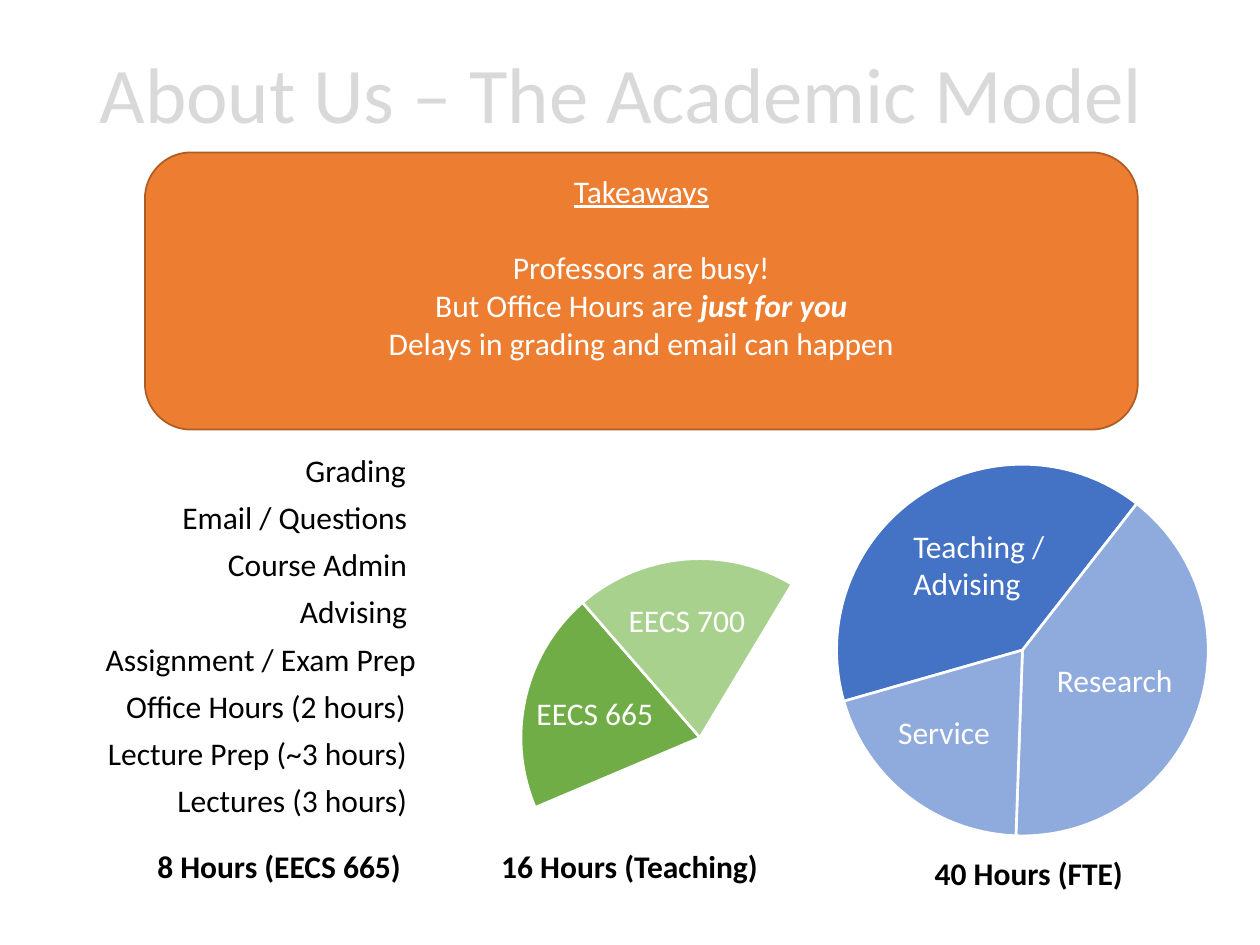
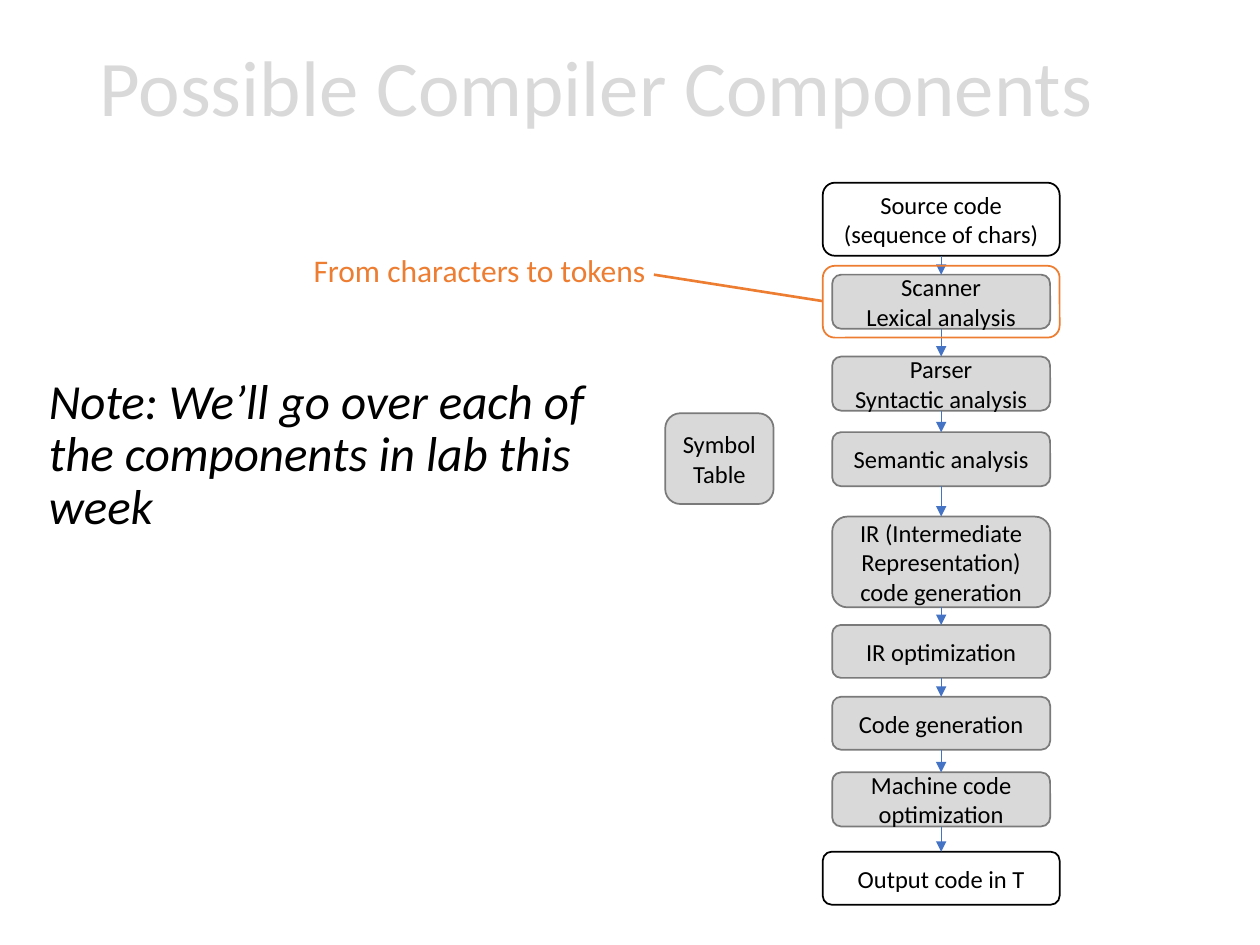
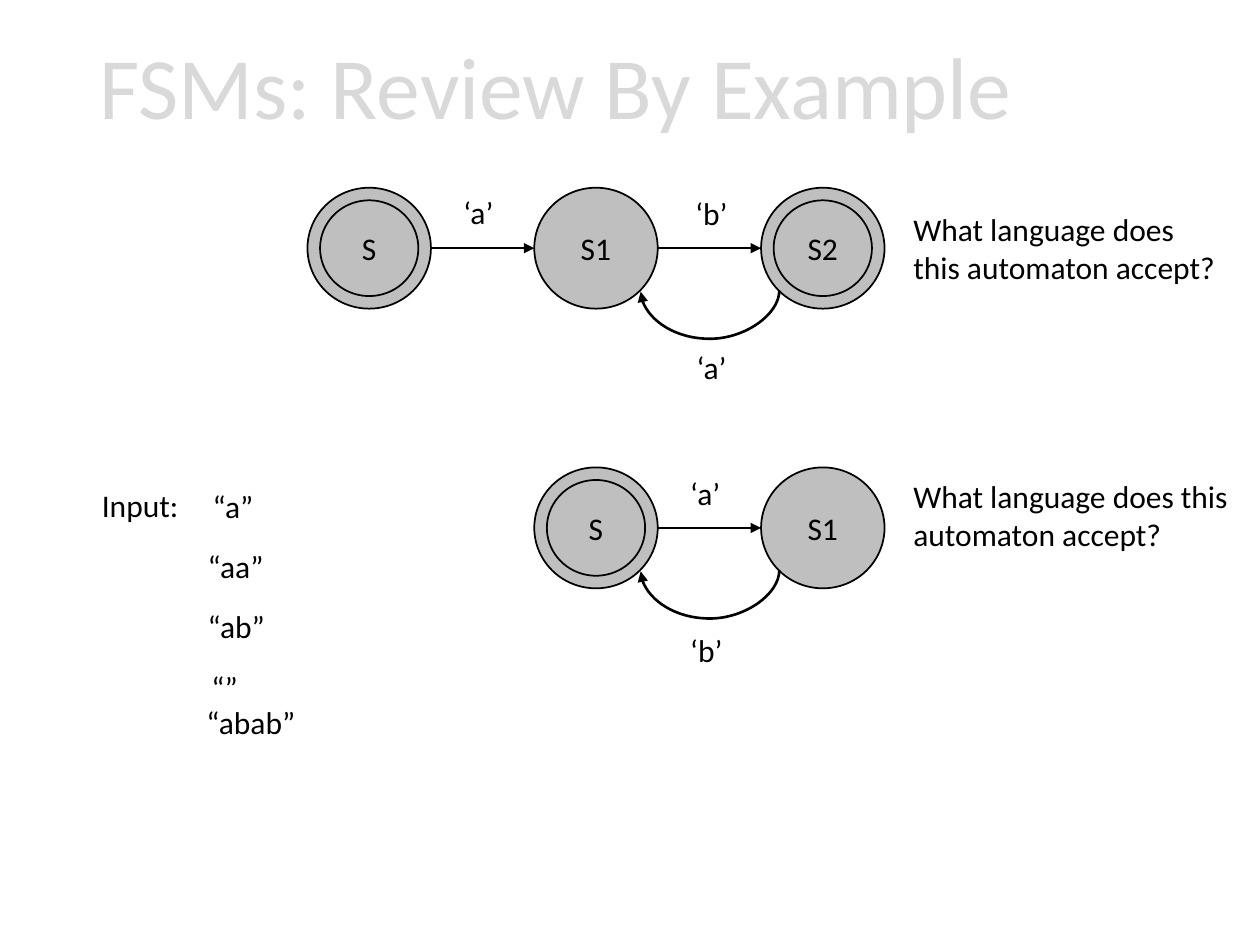
"""Build three compiler course slides: workload, compiler stages and state machines."""
from dataclasses import dataclass
from itertools import pairwise
from typing import NamedTuple

from lxml import etree
from pptx import Presentation, slide as s, util as u
from pptx.chart import data
from pptx.dml import color
from pptx.enum import chart as charts, shapes, text
from pptx.oxml import ns


@dataclass(frozen=True)
class Theme:
    font: str = "Calibri"
    black: color.RGBColor = color.RGBColor(0, 0, 0)
    white: color.RGBColor = color.RGBColor(255, 255, 255)
    title: color.RGBColor = color.RGBColor.from_string("D9D9D9")
    stage: color.RGBColor = color.RGBColor.from_string("D9D9D9")
    stage_line: color.RGBColor = color.RGBColor.from_string("7A7A7A")
    state: color.RGBColor = color.RGBColor.from_string("BFBFBF")
    orange: color.RGBColor = color.RGBColor.from_string("ED7D31")
    orange_line: color.RGBColor = color.RGBColor.from_string("AF5C24")
    blue: color.RGBColor = color.RGBColor.from_string("4472C4")
    light_blue: color.RGBColor = color.RGBColor.from_string("8FAADC")
    green: color.RGBColor = color.RGBColor.from_string("70AD47")
    light_green: color.RGBColor = color.RGBColor.from_string("A9D18E")
    title_size: int = 45
    large_title_size: int = 50
    note_size: int = 28
    body_size: int = 18
    stage_size: int = 14
    chart_size: int = 10


THEME = Theme()


class Box(NamedTuple):
    left: float
    top: float
    width: float
    height: float = 0.4

    def lengths(self) -> list[u.Length]:
        return [u.Inches(value) for value in self]


class Label(NamedTuple):
    words: str
    box: Box


class Slice(NamedTuple):
    value: int
    fill: color.RGBColor | None


class Stage(NamedTuple):
    words: str
    top: float
    height: float
    is_code: bool = False


class State(NamedTuple):
    name: str
    column: int
    accepting: bool = False


class Automaton(NamedTuple):
    top: float
    states: list[State]
    labels: list[Label]


def style(paragraph, size: int, ink: color.RGBColor = THEME.black, bold: bool | None = None,
          align=text.PP_ALIGN.LEFT) -> None:
    paragraph.alignment = align
    paragraph.font.name = THEME.font
    paragraph.font.size = u.Pt(size)
    paragraph.font.color.rgb = ink
    paragraph.font.bold = bold


def add_title_slide(presentation, title: str, top: float = 0, size: int = THEME.title_size) -> s.Slide:
    slide = presentation.slides.add_slide(presentation.slide_layouts[5])
    shape = slide.shapes.title
    shape.left, shape.top, shape.width, shape.height = Box(0.69, top, 8.62, 1.45).lengths()
    frame = shape.text_frame
    frame.text = title
    frame.auto_size = text.MSO_AUTO_SIZE.NONE
    frame.vertical_anchor = text.MSO_ANCHOR.MIDDLE
    paragraph = frame.paragraphs[0]
    paragraph.line_spacing = 0.9
    style(paragraph, size, THEME.title)
    return slide


def add_label(slide: s.Slide, label: Label, ink: color.RGBColor = THEME.black,
              bold: bool | None = None, align=text.PP_ALIGN.LEFT) -> None:
    frame = slide.shapes.add_textbox(*label.box.lengths()).text_frame
    frame.text = label.words
    frame.word_wrap = False
    frame.auto_size = text.MSO_AUTO_SIZE.SHAPE_TO_FIT_TEXT
    for paragraph in frame.paragraphs:
        style(paragraph, THEME.body_size, ink, bold, align)


def add_shape(slide: s.Slide, kind, box: Box, fill: color.RGBColor | None, line: color.RGBColor,
              words: str = "", size: int = THEME.body_size, ink: color.RGBColor = THEME.black):
    shape = slide.shapes.add_shape(kind, *box.lengths())
    shape.shadow.inherit = False
    if fill is None:
        shape.fill.background()
    else:
        shape.fill.solid()
        shape.fill.fore_color.rgb = fill
    shape.line.color.rgb = line
    shape.line.width = u.Pt(1)
    if words:
        shape.text_frame.text = words
        for paragraph in shape.text_frame.paragraphs:
            style(paragraph, size, ink, align=text.PP_ALIGN.CENTER)
    return shape


def add_line(slide: s.Slide, start: tuple[float, float], end: tuple[float, float],
             ink: color.RGBColor, width: float = 1.5, arrow: bool = True,
             kind=shapes.MSO_CONNECTOR.STRAIGHT):
    connector = slide.shapes.add_connector(kind, *(u.Inches(value) for value in start + end))
    connector.line.color.rgb = ink
    connector.line.width = u.Pt(width)
    if arrow:
        etree.SubElement(connector.line._get_or_add_ln(), ns.qn("a:tailEnd"), type="triangle")
    etree.SubElement(connector._element.spPr, ns.qn("a:effectLst"))
    return connector


def add_return_arrow(slide: s.Slide, top: float) -> None:
    connector = add_line(slide, (5.63, top), (5.64, top + 1.1), THEME.black,
                         kind=shapes.MSO_CONNECTOR.CURVE)
    properties = connector._element.spPr
    properties.find(ns.qn("a:xfrm")).set("rot", "5400000")
    geometry = properties.find(ns.qn("a:prstGeom"))
    adjustments = geometry.find(ns.qn("a:avLst"))
    if adjustments is None:
        adjustments = etree.SubElement(geometry, ns.qn("a:avLst"))
    etree.SubElement(adjustments, ns.qn("a:gd"), name="adj1", fmla="val 3900000")


def add_pie(slide: s.Slide, box: Box, diameter: float, start: int, slices: list[Slice]) -> None:
    chart_data = data.CategoryChartData()
    chart_data.categories = [str(number + 1) for number in range(len(slices))]
    chart_data.add_series("Series 1", [part.value for part in slices])
    chart = slide.shapes.add_chart(charts.XL_CHART_TYPE.PIE, *box.lengths(), chart_data).chart
    chart.has_title = False
    chart.has_legend = False
    chart.font.name = THEME.font
    chart.font.size = u.Pt(THEME.chart_size)
    chart.font.color.rgb = THEME.black
    plot = chart.plots[0]
    plot.vary_by_categories = True
    for index, part in enumerate(slices):
        point = plot.series[0].points[index].format
        if part.fill is None:
            point.fill.background()
            point.line.fill.background()
        else:
            point.fill.solid()
            point.fill.fore_color.rgb = part.fill
            point.line.color.rgb = THEME.white
            point.line.width = u.Pt(1.5)
    etree.SubElement(plot._element, ns.qn("c:firstSliceAng"), val=str(start))
    plot_area = plot._element.getparent()
    for layout in plot_area.findall(ns.qn("c:layout")):
        plot_area.remove(layout)
    layout = etree.Element(ns.qn("c:layout"))
    plot_area.insert(0, layout)
    manual = etree.SubElement(layout, ns.qn("c:manualLayout"))
    width, height = diameter / box.width, diameter / box.height
    settings = {"layoutTarget": "inner", "xMode": "edge", "yMode": "edge",
                "x": (1 - width) / 2, "y": (1 - height) / 2, "w": width, "h": height}
    for name, value in settings.items():
        etree.SubElement(manual, ns.qn(f"c:{name}"), val=str(value))
    background = etree.Element(ns.qn("c:spPr"))
    etree.SubElement(background, ns.qn("a:noFill"))
    outline = etree.SubElement(background, ns.qn("a:ln"))
    etree.SubElement(outline, ns.qn("a:noFill"))
    chart._chartSpace.find(ns.qn("c:chart")).addnext(background)


def add_takeaways(slide: s.Slide) -> None:
    words = "Takeaways\nProfessors are busy!\nBut Office Hours are \nDelays in grading and email can happen"
    shape = add_shape(slide, shapes.MSO_SHAPE.ROUNDED_RECTANGLE, Box(1.15, 1.21, 7.88, 2.2),
                      THEME.orange, THEME.orange_line, words, ink=THEME.white)
    shape.text_frame.vertical_anchor = text.MSO_ANCHOR.TOP
    heading, busy, office_hours, _ = shape.text_frame.paragraphs
    heading.font.underline = True
    busy.space_before = u.Pt(22)
    emphasis = office_hours.add_run()
    emphasis.text = "just for you"
    emphasis.font.bold = emphasis.font.italic = True


def build_workload(presentation) -> None:
    slide = add_title_slide(presentation, "About Us – The Academic Model", top=0.05)
    add_pie(slide, Box(2.69, 4.06, 5.73, 3.59), 2.84, 247,
            [Slice(20, THEME.green), Slice(20, THEME.light_green), Slice(60, None)])
    add_pie(slide, Box(5.43, 3.54, 5.37, 3.24), 2.95, 254,
            [Slice(40, THEME.blue), Slice(40, THEME.light_blue), Slice(20, THEME.light_blue)])
    for label in (Label("EECS 700", Box(4.89, 4.72, 1.14)),
                  Label("EECS 665", Box(4.16, 5.46, 1.14)),
                  Label("Teaching /\nAdvising", Box(7.15, 4.13, 1.31, 0.71)),
                  Label("Research", Box(8.29, 5.2, 1.13)),
                  Label("Service", Box(7.03, 5.61, 0.94))):
        add_label(slide, label, THEME.white)
    for label in (Label("8 Hours (EECS 665)", Box(1.15, 6.67, 2.16)),
                  Label("16 Hours (Teaching)", Box(3.88, 6.67, 2.26)),
                  Label("40 Hours (FTE)", Box(7.32, 6.73, 1.71))):
        add_label(slide, label, bold=True)
    tasks = (("Grading", 2.31, 1.01), ("Email / Questions", 1.32, 2.01),
             ("Course Admin", 1.69, 1.64), ("Advising", 2.27, 1.06),
             ("Assignment / Exam Prep", 0.71, 2.69), ("Office Hours (2 hours)", 0.87, 2.45),
             ("Lecture Prep (~3 hours)", 0.72, 2.61), ("Lectures (3 hours)", 1.28, 2.05))
    for row, (words, left, width) in enumerate(tasks):
        label = Label(words, Box(left, 3.53 + row * 0.37 + row // 2 * 0.01, width))
        add_label(slide, label, align=text.PP_ALIGN.RIGHT)
    add_takeaways(slide)


def build_compiler(presentation) -> None:
    slide = add_title_slide(presentation, "Possible Compiler Components")
    rounded = shapes.MSO_SHAPE.ROUNDED_RECTANGLE
    center = 7.47
    stages = [Stage("Source code (sequence of chars)", 1.45, 0.58, True),
              Stage("Scanner\nLexical analysis", 2.18, 0.43),
              Stage("Parser\nSyntactic analysis", 2.83, 0.43),
              Stage("Semantic analysis", 3.43, 0.43),
              Stage("IR (Intermediate Representation) code generation", 4.1, 0.72),
              Stage("IR optimization", 4.96, 0.42),
              Stage("Code generation", 5.53, 0.42),
              Stage("Machine code optimization", 6.13, 0.43),
              Stage("Output code in T", 6.76, 0.42, True)]
    for stage in stages:
        width = 1.88 if stage.is_code else 1.73
        fill, line = (THEME.white, THEME.black) if stage.is_code else (THEME.stage, THEME.stage_line)
        add_shape(slide, rounded, Box(center - width / 2, stage.top, width, stage.height),
                  fill, line, stage.words, THEME.stage_size)
    for upper, lower in pairwise(stages):
        add_line(slide, (center, upper.top + upper.height), (center, lower.top), THEME.blue, 0.5)
    add_shape(slide, rounded, Box(5.28, 3.28, 0.86, 0.72), THEME.stage, THEME.stage_line,
              "Symbol Table", THEME.stage_size)
    frame = slide.shapes.add_textbox(*Box(0.29, 2.94, 4.51, 1.61).lengths()).text_frame
    frame.word_wrap = True
    frame.text = "Note: We’ll go over each of the components in lab this week"
    note = frame.paragraphs[0]
    note.line_spacing = 0.9
    style(note, THEME.note_size)
    note.font.italic = True
    add_shape(slide, rounded, Box(6.53, 2.11, 1.88, 0.57), None, THEME.orange)
    add_line(slide, (6.53, 2.39), (5.19, 2.18), THEME.orange, arrow=False)
    add_label(slide, Label("From characters to tokens", Box(2.39, 1.94, 2.86)), THEME.orange)


def add_automaton(slide: s.Slide, automaton: Automaton) -> None:
    first_left, pitch, width, height, ring = 2.44, 1.8, 0.98, 0.96, 0.1
    top = automaton.top
    middle = top + height / 2
    for state in automaton.states:
        left = first_left + state.column * pitch
        add_shape(slide, shapes.MSO_SHAPE.OVAL, Box(left, top, width, height), THEME.state,
                  THEME.black, "" if state.accepting else state.name)
        if state.accepting:
            inner = Box(left + ring, top + ring, width - 2 * ring, height - 2 * ring)
            add_shape(slide, shapes.MSO_SHAPE.OVAL, inner, THEME.state, THEME.black, state.name)
    for source, target in pairwise(automaton.states):
        add_line(slide, (first_left + source.column * pitch + width, middle),
                 (first_left + target.column * pitch, middle), THEME.black)
    add_return_arrow(slide, top + 0.27)
    for label in automaton.labels:
        add_label(slide, label)


def build_state_machines(presentation) -> None:
    slide = add_title_slide(presentation, "FSMs: Review By Example", size=THEME.large_title_size)
    for label in (Label("Input:", Box(0.71, 3.81, 0.88)),
                  Label("“a”", Box(1.59, 3.82, 0.53)),
                  Label("“aa”", Box(1.55, 4.29, 0.65)),
                  Label("“ab”", Box(1.55, 4.77, 0.66)),
                  Label("“”", Box(1.58, 5.25, 0.41)),
                  Label("“abab”", Box(1.54, 5.53, 0.91))):
        add_label(slide, label)
    add_automaton(slide, Automaton(
        1.49, [State("S", 0, True), State("S1", 1), State("S2", 2, True)],
        [Label("‘a’", Box(3.58, 1.48, 0.44)), Label("‘b’", Box(5.42, 1.49, 0.46)),
         Label("‘a’", Box(5.43, 2.71, 0.44)),
         Label("What language does\nthis automaton accept?", Box(7.15, 1.62, 2.68, 0.71))]))
    add_automaton(slide, Automaton(
        3.71, [State("S", 1, True), State("S1", 2)],
        [Label("‘a’", Box(5.38, 3.71, 0.44)), Label("‘b’", Box(5.38, 4.96, 0.46)),
         Label("What language does this\nautomaton accept?", Box(7.15, 3.74, 2.79, 0.71))]))


def main() -> None:
    presentation = Presentation()
    presentation.slide_width = u.Inches(10)
    presentation.slide_height = u.Inches(7.5)
    build_workload(presentation)
    build_compiler(presentation)
    build_state_machines(presentation)
    presentation.save("out.pptx")


if __name__ == "__main__":
    main()
